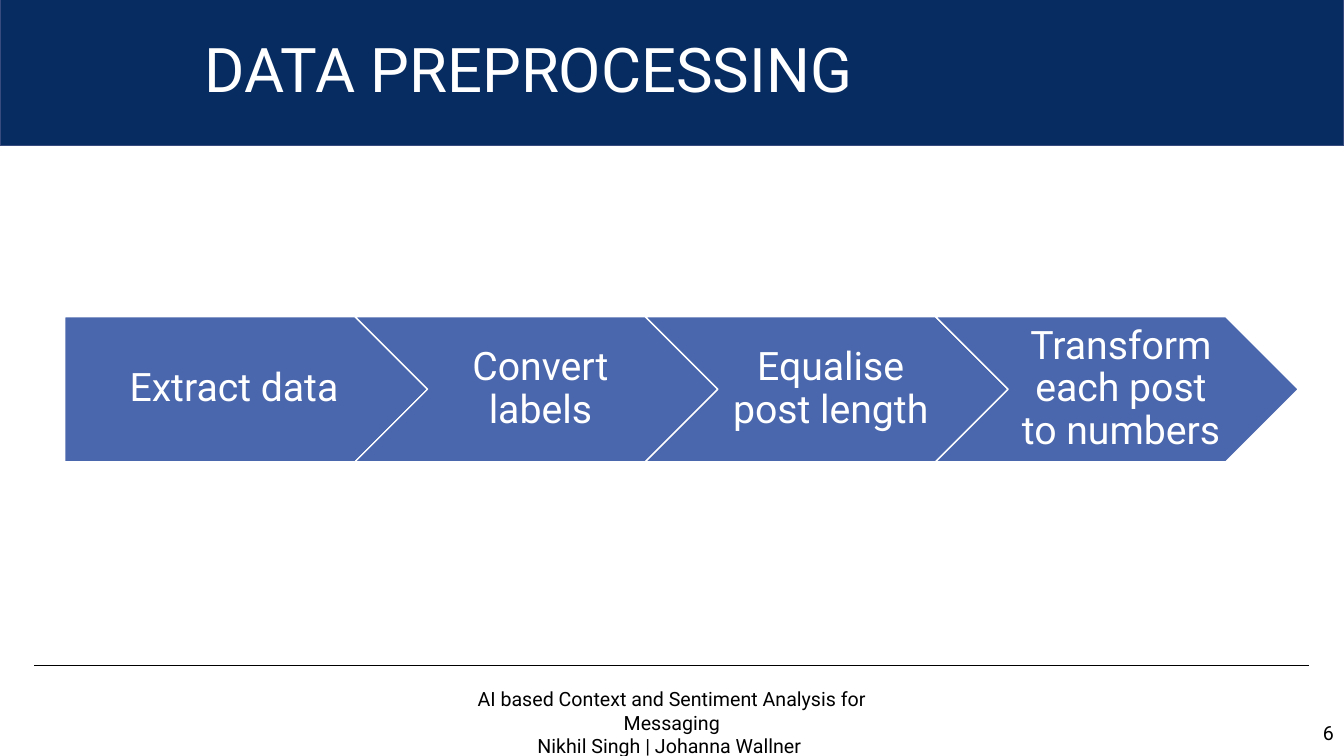
"""Builds the data preprocessing slide: a title band, four process arrows and a footer."""
import pptx
import pptx.util
import pptx.dml.color
import pptx.enum.shapes
import pptx.enum.text
import pptx.oxml

Pt = pptx.util.Pt
SHAPE = pptx.enum.shapes.MSO_SHAPE
ALIGN = pptx.enum.text.PP_ALIGN
ANCHOR = pptx.enum.text.MSO_ANCHOR

NAVY = pptx.dml.color.RGBColor(0x07, 0x2C, 0x62)
BAND_EDGE = pptx.dml.color.RGBColor(0x37, 0x4B, 0x7F)
BLUE = pptx.dml.color.RGBColor(0x4A, 0x66, 0xAC)
WHITE = pptx.dml.color.RGBColor(0xFF, 0xFF, 0xFF)
BLACK = pptx.dml.color.RGBColor(0x00, 0x00, 0x00)


def add_block(kind, left, top, width, height, fill, edge):
    block = slide.shapes.add_shape(kind, Pt(left), Pt(top), Pt(width), Pt(height))
    block.shadow.inherit = False
    block.fill.solid()
    block.fill.fore_color.rgb = fill
    block.line.color.rgb = edge
    block.line.width = Pt(1)
    return block


def write(holder, lines, size, color, align, anchor, spacing=1.0):
    frame = holder.text_frame
    frame.word_wrap = True
    frame.vertical_anchor = anchor
    for index, line in enumerate(lines):
        paragraph = frame.add_paragraph() if index else frame.paragraphs[0]
        paragraph.alignment = align
        paragraph.line_spacing = spacing
        run = paragraph.add_run()
        run.text = line
        run.font.name = "Roboto"
        run.font.size = Pt(size)
        run.font.color.rgb = color


deck = pptx.Presentation()
deck.slide_width = Pt(960)
deck.slide_height = Pt(540)
slide = deck.slides.add_slide(deck.slide_layouts[6])

footer_rule = slide.shapes.add_connector(
    pptx.enum.shapes.MSO_CONNECTOR.STRAIGHT, Pt(24.5), Pt(475.2), Pt(935.3), Pt(475.2))
footer_rule.line.color.rgb = BLACK
footer_rule.line.width = Pt(0.5)
footer_rule._element.spPr.append(pptx.oxml.parse_xml(
    '<a:effectLst xmlns:a="http://schemas.openxmlformats.org/drawingml/2006/main"/>'))

footer = slide.shapes.add_textbox(Pt(319), Pt(487.4), Pt(321.8), Pt(41))
write(footer,
      ["AI based Context and Sentiment Analysis for Messaging",
       "Nikhil Singh | Johanna Wallner "],
      14, BLACK, ALIGN.CENTER, ANCHOR.TOP)

page_number = slide.shapes.add_textbox(Pt(848.9), Pt(511.2), Pt(111), Pt(24.5))
write(page_number, ["6"], 14, BLACK, ALIGN.RIGHT, ANCHOR.MIDDLE)

add_block(SHAPE.RECTANGLE, 0, -0.5, 960, 104.4, NAVY, BAND_EDGE)
title = slide.shapes.add_textbox(Pt(139), Pt(14.4), Pt(755.3), Pt(74.9))
write(title, ["DATA PREPROCESSING"], 44, WHITE, ALIGN.LEFT, ANCHOR.MIDDLE, 0.9)

STEPS = ["Extract data", "Convert labels", "Equalise post length",
         "Transform each post to numbers"]
STEP_WIDTH = 259.2
STEP_PITCH = STEP_WIDTH * 0.8
STEP_HEIGHT = STEP_WIDTH * 0.4

for position, step in enumerate(STEPS):
    kind = SHAPE.CHEVRON if position else SHAPE.PENTAGON
    arrow = add_block(kind, 46.2 + position * STEP_PITCH, 226.2,
                      STEP_WIDTH, STEP_HEIGHT, BLUE, WHITE)
    write(arrow, [step], 28, WHITE, ALIGN.CENTER, ANCHOR.MIDDLE, 0.9)
    arrow.text_frame.margin_left = Pt(8.6 if position else 11.5)
    arrow.text_frame.margin_right = Pt(2.9)
    arrow.text_frame.margin_top = arrow.text_frame.margin_bottom = Pt(5.8)

deck.save("out.pptx")
